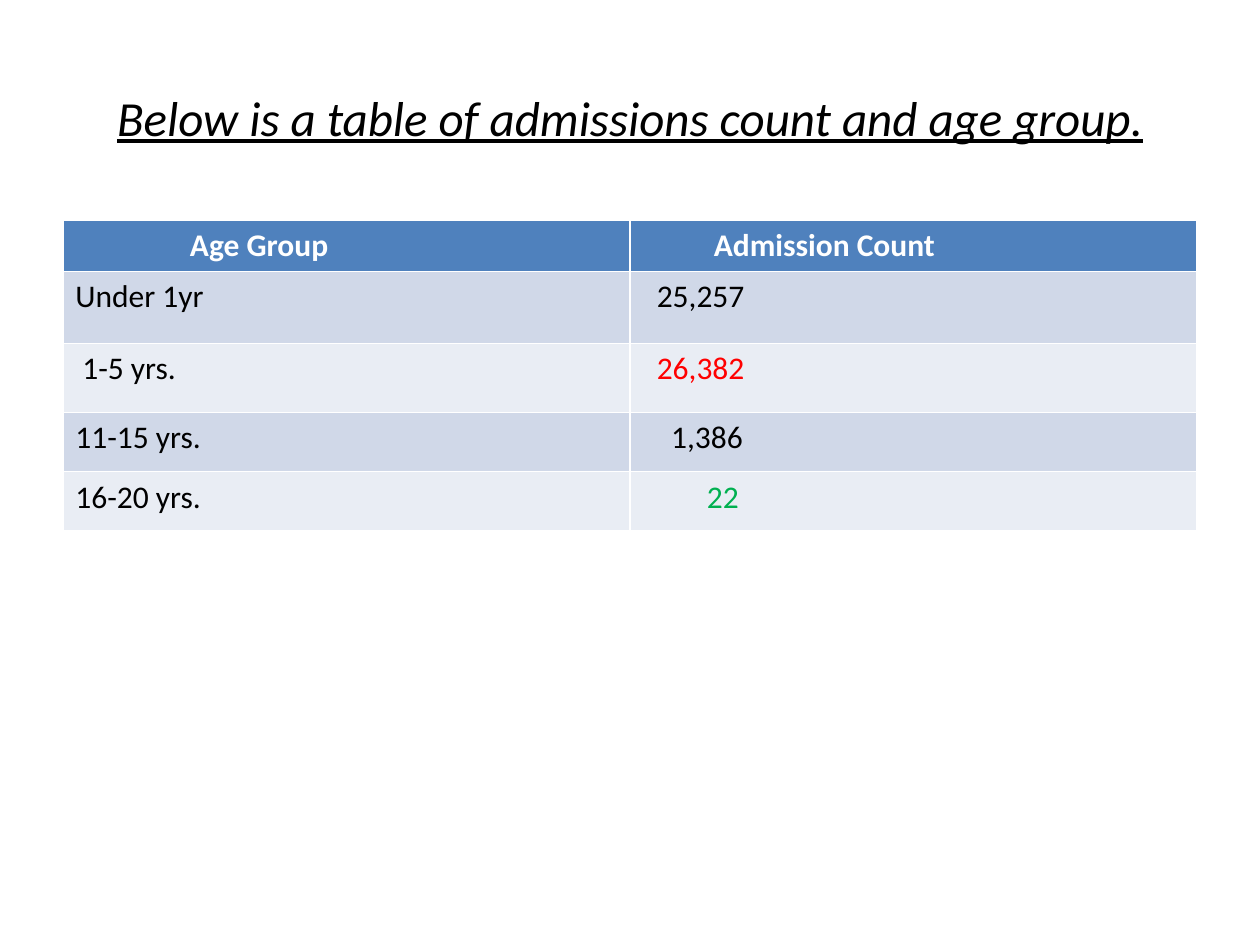
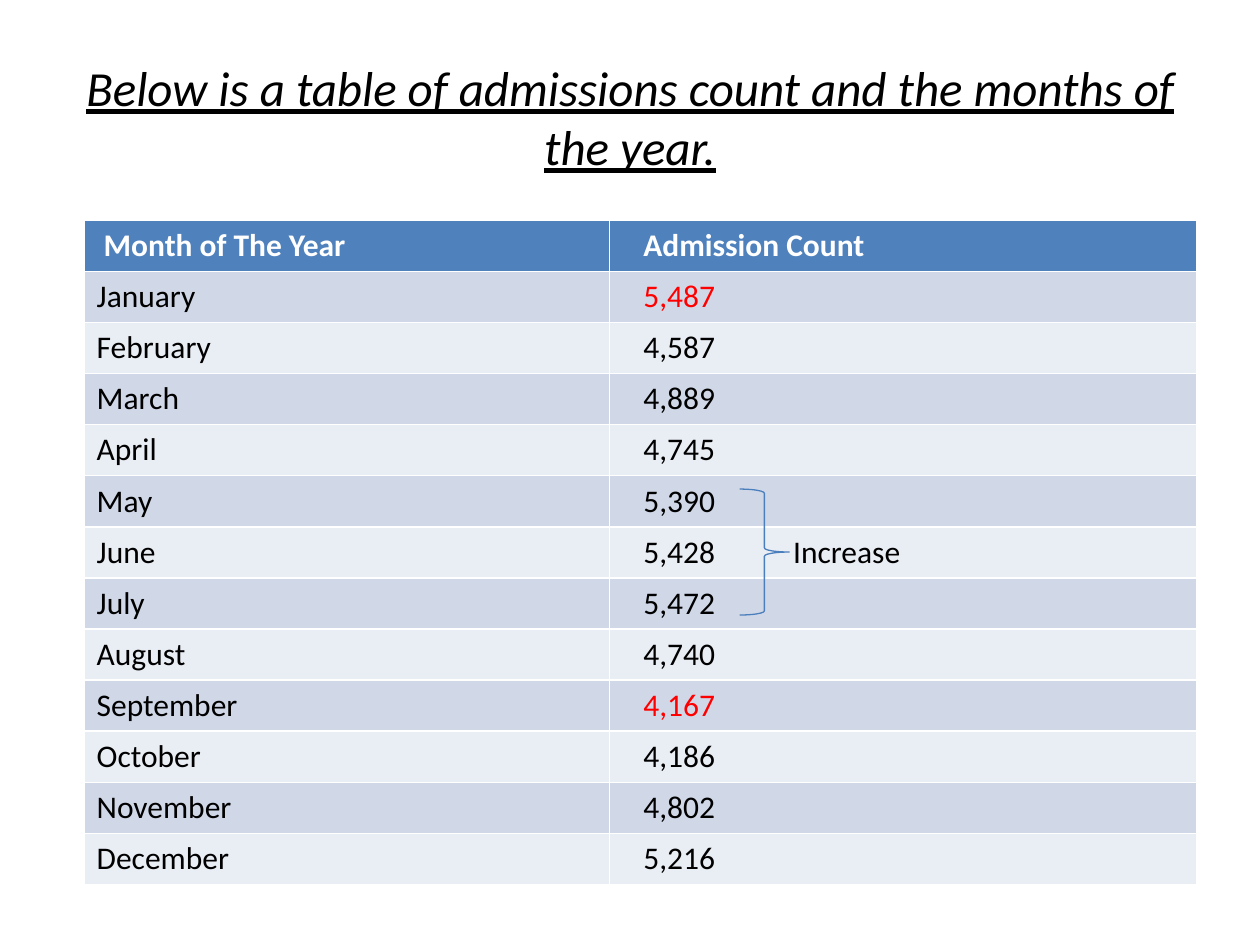
"""Build two slides of admission counts, by age group and by month."""
import pptx
import pptx.util
import pptx.dml.color
import pptx.enum.shapes
import pptx.enum.text
import lxml.etree

Cm = pptx.util.Cm
FONT = "Calibri"
BLACK, WHITE, RED, GREEN = "000000", "FFFFFF", "FF0000", "00B050"
HEADER, BANDS, BRACE = "4F81BD", ("D0D8E8", "E9EDF4"), "4B7EBC"
CELL_MARGIN = 0.25
TABLE_TOP = 4.44
ROW_HEIGHT = 1.03
MONTH_INDENT = 0.43


def color(value):
    """Turn a hex string into a colour."""
    return pptx.dml.color.RGBColor.from_string(value)


def write(frame, text, size=18, ink=BLACK, bold=False, italic=False, underline=False, align=None):
    """Put formatted text in the first paragraph of a frame and return the paragraph."""
    para = frame.paragraphs[0]
    para.alignment = align
    span = para.add_run()
    span.text = text
    span.font.name = FONT
    span.font.size = pptx.util.Pt(size)
    span.font.bold = bold
    span.font.italic = italic
    span.font.underline = underline
    span.font.color.rgb = color(ink)
    return para


months = [
    ("January", "5,487", RED), ("February", "4,587", BLACK), ("March", "4,889", BLACK),
    ("April", "4,745", BLACK), ("May", "5,390", BLACK), ("June", "5,428\tIncrease", BLACK),
    ("July", "5,472", BLACK), ("August", "4,740", BLACK), ("September", "4,167", RED),
    ("October", "4,186", BLACK), ("November", "4,802", BLACK), ("December", "5,216", BLACK),
]

sheets = [
    {
        "title": "Below is a table of admissions count and age group.",
        "left": 1.27,
        "widths": (11.43, 11.43),
        "heights": (ROW_HEIGHT, 1.45, 1.4, 1.19, 1.19),
        "rows": [
            (("Age Group", 2.31, WHITE), ("Admission Count", 1.44, WHITE)),
            (("Under 1yr", 0, BLACK), ("25,257", 0.29, BLACK)),
            (("1-5 yrs.", 0.14, BLACK), ("26,382", 0.29, RED)),
            (("11-15 yrs.", 0, BLACK), ("1,386", 0.58, BLACK)),
            (("16-20 yrs.", 0, BLACK), ("22", 1.3, GREEN)),
        ],
    },
    {
        "title": "Below is a table of admissions count and the months of the year.",
        "left": 1.7,
        "widths": (10.59, 11.84),
        "heights": [ROW_HEIGHT] * (len(months) + 1),
        "rows": [(("Month of The Year", 0.14, WHITE), ("Admission Count", MONTH_INDENT, WHITE))]
        + [((month, 0, BLACK), (count, MONTH_INDENT, ink)) for month, count, ink in months],
    },
]

deck = pptx.Presentation()
deck.slide_width, deck.slide_height = Cm(25.4), Cm(19.05)

for sheet in sheets:
    page = deck.slides.add_slide(deck.slide_layouts[5])
    title = page.shapes.title
    title.left, title.top, title.width, title.height = Cm(1.27), Cm(0.76), Cm(22.86), Cm(3.18)
    title.text_frame.vertical_anchor = pptx.enum.text.MSO_ANCHOR.MIDDLE
    write(title.text_frame, sheet["title"], size=28, italic=True, underline=True,
          align=pptx.enum.text.PP_ALIGN.CENTER)

    table = page.shapes.add_table(
        len(sheet["rows"]), len(sheet["widths"]), Cm(sheet["left"]), Cm(TABLE_TOP),
        Cm(sum(sheet["widths"])), Cm(sum(sheet["heights"]))).table
    for column, width in zip(table.columns, sheet["widths"]):
        column.width = Cm(width)
    for row, height in zip(table.rows, sheet["heights"]):
        row.height = Cm(height)

    for row_number, entries in enumerate(sheet["rows"]):
        for column_number, (text, indent, ink) in enumerate(entries):
            cell = table.cell(row_number, column_number)
            cell.margin_left = Cm(CELL_MARGIN + indent)
            cell.fill.solid()
            cell.fill.fore_color.rgb = color(BANDS[(row_number - 1) % 2] if row_number else HEADER)
            para = write(cell.text_frame, text, ink=ink, bold=row_number == 0)
            if "\t" in text:
                properties = para._p.get_or_add_pPr()
                space = "{%s}" % properties.nsmap["a"]
                stops = lxml.etree.SubElement(properties, space + "tabLst")
                lxml.etree.SubElement(stops, space + "tab", pos=str(Cm(3.02)), algn="l")

brace = page.shapes.add_shape(
    pptx.enum.shapes.MSO_SHAPE.RIGHT_BRACE, Cm(14.91), Cm(9.86), Cm(1), Cm(2.54))
brace.shadow.inherit = False
brace.fill.background()
brace.line.color.rgb = color(BRACE)
brace.line.width = pptx.util.Pt(0.75)

deck.save("out.pptx")
